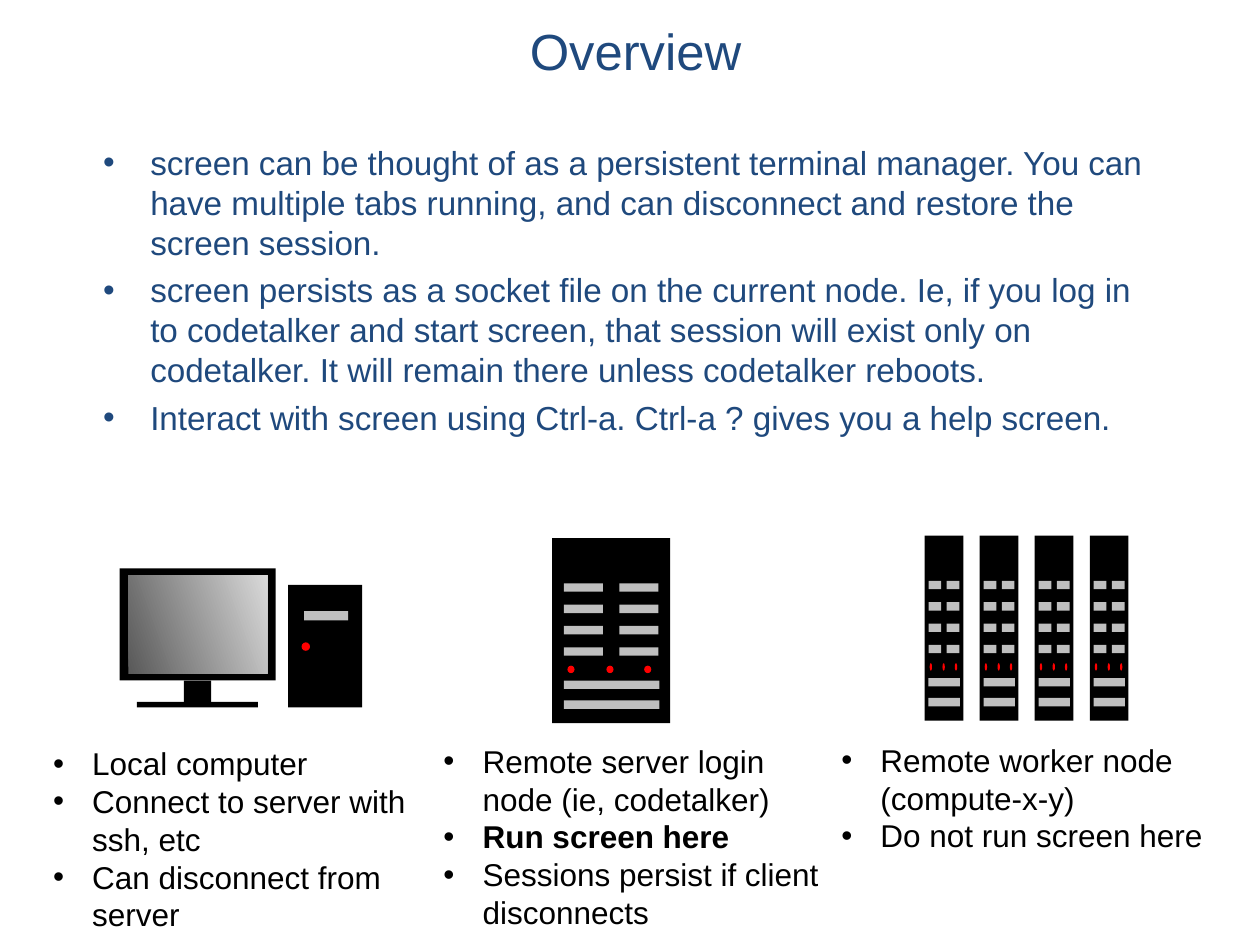
"""Build the overview slide on screen sessions across three kinds of machine."""
from dataclasses import dataclass

import pptx
import pptx.dml.color
import pptx.enum.shapes
import pptx.enum.text
import pptx.util
from lxml import etree

Cm = pptx.util.Cm
RECTANGLE = pptx.enum.shapes.MSO_SHAPE.RECTANGLE
OVAL = pptx.enum.shapes.MSO_SHAPE.OVAL
ALIGN = pptx.enum.text.PP_ALIGN

TITLE = "Overview"
POINTS = [
    "screen can be thought of as a persistent terminal manager. You can have multiple tabs "
    "running, and can disconnect and restore the screen session.",
    "screen persists as a socket file on the current node. Ie, if you log in to codetalker and "
    "start screen, that session will exist only on codetalker. It will remain there unless "
    "codetalker reboots.",
    "Interact with screen using Ctrl-a. Ctrl-a ? gives you a help screen.",
]
EMPHASIS = "Run screen here"
MACHINE_NOTES = [
    ((0.82, 14.88, 8.28, 4.11),
     ["Local computer", "Connect to server with ssh, etc", "Can disconnect from server"]),
    ((8.69, 14.83, 8.28, 4.11),
     ["Remote server login node (ie, codetalker)", EMPHASIS,
      "Sessions persist if client disconnects"]),
    ((16.71, 14.81, 8.28, 3.33),
     ["Remote worker node (compute-x-y)", "Do not run screen here"]),
]
LOGIN_NODE = (11.13, 10.85, 2.38)
WORKER_LEFT, WORKER_TOP, WORKER_WIDTH = 18.64, 10.8, 0.78
WORKER_COUNT, WORKER_PITCH = 4, 1.11


@dataclass(frozen=True)
class Theme:
    font: str = "Arial"
    heading: str = "1F497D"
    text: str = "000000"
    case: str = "000000"
    panel: str = "BFBFBF"
    light: str = "FF0000"
    screen: tuple = ("595959", "D9D9D9")
    title_size: float = 29
    body_size: float = 19
    note_size: float = 18


THEME = Theme()


def rgb(value):
    return pptx.dml.color.RGBColor.from_string(value)


def add_bullet(paragraph, indent):
    properties = paragraph._p.get_or_add_pPr()
    properties.set("marL", str(Cm(indent)))
    properties.set("indent", str(-Cm(indent)))
    namespace = properties.nsmap["a"]
    etree.SubElement(properties, f"{{{namespace}}}buFont", typeface=THEME.font)
    etree.SubElement(properties, f"{{{namespace}}}buChar", char="•")


def write_text(shape, lines, *, size, color, align=ALIGN.LEFT, indent=None, before=0, bold=()):
    frame = shape.text_frame
    frame.word_wrap = True
    frame.auto_size = pptx.enum.text.MSO_AUTO_SIZE.NONE
    frame.vertical_anchor = pptx.enum.text.MSO_ANCHOR.TOP
    for number, line in enumerate(lines):
        paragraph = frame.add_paragraph() if number else frame.paragraphs[0]
        paragraph.alignment = align
        paragraph.space_before = pptx.util.Pt(before)
        if indent:
            add_bullet(paragraph, indent)
        run = paragraph.add_run()
        run.text = line
        run.font.name = THEME.font
        run.font.size = pptx.util.Pt(size)
        run.font.bold = line in bold
        run.font.color.rgb = rgb(color)


def add_part(group, kind, left, top, width, height, color):
    shape = group.shapes.add_shape(kind, Cm(left), Cm(top), Cm(width), Cm(height))
    shape.shadow.inherit = False
    shape.line.fill.background()
    if isinstance(color, tuple):
        shape.fill.gradient()
        shape.fill.gradient_angle = 20
        for stop, value in zip(shape.fill.gradient_stops, color):
            stop.color.rgb = rgb(value)
    else:
        shape.fill.solid()
        shape.fill.fore_color.rgb = rgb(color)


def draw_computer(slide):
    group = slide.shapes.add_group_shape()
    add_part(group, RECTANGLE, 2.41, 11.46, 3.15, 2.26, THEME.case)
    add_part(group, RECTANGLE, 2.59, 11.6, 2.8, 1.98, THEME.screen)
    add_part(group, RECTANGLE, 3.71, 13.72, 0.55, 0.5, THEME.case)
    add_part(group, RECTANGLE, 2.76, 14.15, 2.44, 0.11, THEME.case)
    add_part(group, RECTANGLE, 5.81, 11.79, 1.49, 2.47, THEME.case)
    add_part(group, RECTANGLE, 6.13, 12.32, 0.89, 0.19, THEME.panel)
    add_part(group, OVAL, 6.08, 12.95, 0.17, 0.17, THEME.light)


def draw_server(slide, left, top, width):
    group = slide.shapes.add_group_shape()
    add_part(group, RECTANGLE, left, top, width, 3.73, THEME.case)
    drives = [(across, 0.91 + 0.43 * row, 0.33) for across in (0.1, 0.57) for row in range(4)]
    trays = [(0.1, offset, 0.81) for offset in (2.87, 3.27)]
    for across, down, share in drives + trays:
        add_part(group, RECTANGLE, left + across * width, top + down,
                 share * width, 0.17, THEME.panel)
    for across in (0.13, 0.46, 0.78):
        add_part(group, OVAL, left + across * width, top + 2.57,
                 0.06 * width, 0.15, THEME.light)


presentation = pptx.Presentation()
presentation.slide_width, presentation.slide_height = Cm(25.4), Cm(19.05)
slide = presentation.slides.add_slide(presentation.slide_layouts[5])

title = slide.shapes.title
title.left, title.top, title.width, title.height = Cm(1.83), Cm(0.28), Cm(21.97), Cm(2.08)
write_text(title, [TITLE], size=THEME.title_size, color=THEME.heading, align=ALIGN.CENTER)

body = slide.shapes.add_textbox(Cm(1.83), Cm(2.74), Cm(21.97), Cm(8.81))
write_text(body, POINTS, size=THEME.body_size, color=THEME.heading, indent=0.95, before=4.6)

draw_computer(slide)
draw_server(slide, *LOGIN_NODE)
for index in range(WORKER_COUNT):
    draw_server(slide, WORKER_LEFT + index * WORKER_PITCH, WORKER_TOP, WORKER_WIDTH)

for place, lines in MACHINE_NOTES:
    note = slide.shapes.add_textbox(*map(Cm, place))
    write_text(note, lines, size=THEME.note_size, color=THEME.text, indent=0.79, bold=(EMPHASIS,))

presentation.save("out.pptx")
